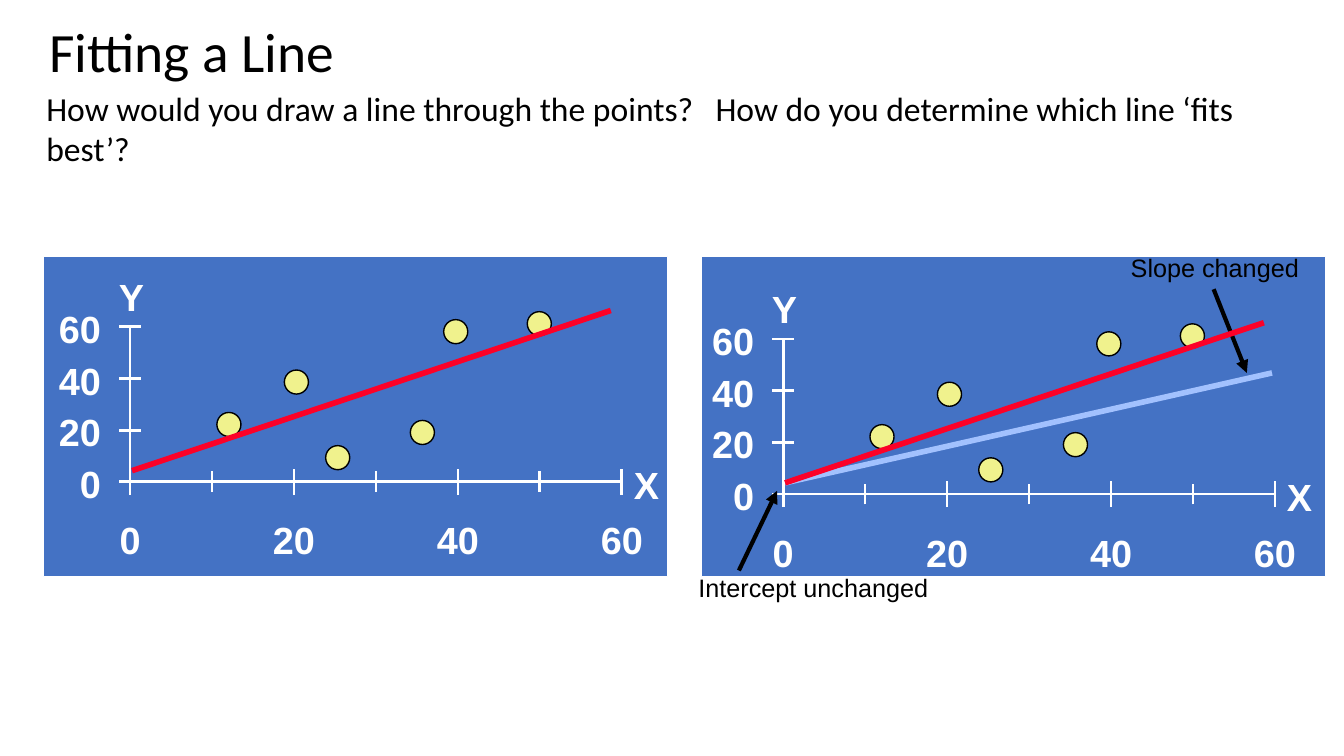
"""Build the slide on fitting a line through scattered points."""
from lxml import etree
from pptx import Presentation
from pptx.dml.color import RGBColor
from pptx.enum.shapes import MSO_CONNECTOR, MSO_SHAPE
from pptx.enum.text import MSO_ANCHOR, MSO_AUTO_SIZE, PP_ALIGN
from pptx.oxml.ns import qn
from pptx.util import Pt

STRAIGHT = MSO_CONNECTOR.STRAIGHT
RECT, OVAL = MSO_SHAPE.RECTANGLE, MSO_SHAPE.OVAL
LEFT, CENTER, RIGHT = PP_ALIGN.LEFT, PP_ALIGN.CENTER, PP_ALIGN.RIGHT
MIDDLE, TOP = MSO_ANCHOR.MIDDLE, MSO_ANCHOR.TOP
NO_FIT = MSO_AUTO_SIZE.NONE

COLORS = {
    "black": "000000",
    "white": "FFFFFF",
    "panel": "4472C4",
    "dot": "F0F28D",
    "red": "FC0128",
    "pale": "A2C1FE",
}
C = {name: RGBColor.from_string(value) for name, value in COLORS.items()}


def write(text, x, y, w, h, sp=None, size=27, font="Arial", color="white",
          bold=False, align=LEFT, anchor=TOP, spacing=None, tab=None):
    """Put text in a placeholder, or in a new text box, at a place in points."""
    if sp is None:
        sp = s.shapes.add_textbox(0, 0, 0, 0)
    sp.left, sp.top, sp.width, sp.height = Pt(x), Pt(y), Pt(w), Pt(h)
    tf = sp.text_frame
    tf.word_wrap = True
    tf.auto_size = NO_FIT
    tf.vertical_anchor = anchor
    p = tf.paragraphs[0]
    p.alignment = align
    p.line_spacing = spacing
    if tab:
        tabs = etree.SubElement(p._p.get_or_add_pPr(), qn("a:tabLst"))
        etree.SubElement(tabs, qn("a:tab"), pos=str(Pt(tab)), algn="l")
    r = p.add_run()
    r.text = text
    r.font.name, r.font.size, r.font.bold = font, Pt(size), bold
    r.font.color.rgb = C[color]


def line(x1, y1, x2, y2, color="white", width=2, arrow=False):
    """Draw a straight line, with an arrowhead at its end if asked."""
    cn = s.shapes.add_connector(STRAIGHT, Pt(x1), Pt(y1), Pt(x2), Pt(y2))
    cn.line.color.rgb = C[color]
    cn.line.width = Pt(width)
    if arrow:
        etree.SubElement(cn.line._get_or_add_ln(), qn("a:tailEnd"), type="triangle")
    etree.SubElement(cn._element.spPr, qn("a:effectLst"))


prs = Presentation()
prs.slide_width, prs.slide_height = Pt(960), Pt(540)
s = prs.slides.add_slide(prs.slide_layouts[5])

write("Fitting a Line", 28, 13, 558, 52.5, sp=s.shapes.title, size=39.6,
      font="Calibri", color="black", anchor=MIDDLE, spacing=0.9)
write("How would you draw a line through the points?\tHow do you determine "
      "which line ‘fits best’?", 26, 59, 921, 65.5, size=24, font="Calibri",
      color="black", tab=478)

X_STEP, Y_STEP = 58.55, 36.9
DOT = 17.2
POINTS = [(148.3, 17.3), (292.3, 113), (118.8, 71.3),
          (232.6, 107.3), (208.8, 35.3), (70.6, 41)]
PANELS = [(31.2, 92.9, 344.2), (501.2, 559.4, 352.9)]

for panel_x, x0, y0 in PANELS:
    sp = s.shapes.add_shape(RECT, Pt(panel_x), Pt(183), Pt(445.6), Pt(229))
    sp.shadow.inherit = False
    sp.fill.solid()
    sp.fill.fore_color.rgb = C["panel"]
    sp.line.color.rgb = C["white"]
    sp.line.width = Pt(1)

    line(x0, y0 - 3 * Y_STEP, x0, y0)
    line(x0, y0, x0 + 6 * X_STEP, y0)
    for i in range(4):
        y = y0 - i * Y_STEP
        line(x0 - 7.7, y, x0 + 7.7, y)
        write(str(20 * i), x0 - 61.7, y - 18.7, 48, 39.6, bold=True, align=RIGHT)
    for i in range(7):
        x = x0 + i * X_STEP
        reach = 7.4 if i % 2 else 9.4
        line(x, y0 + reach, x, y0 - reach)
        if i % 2 == 0:
            write(str(10 * i), x - 24, y0 + 21.6, 48, 39.6, bold=True, align=CENTER)
    write("X", x0 + 352.8, y0 - 18, 36, 39.6, bold=True)
    write("Y", x0 - 15.1, y0 - 152.6, 36, 39.6, bold=True)

    for dx, dy in POINTS:
        sp = s.shapes.add_shape(OVAL, Pt(x0 + dx - DOT / 2), Pt(y0 - dy - DOT / 2),
                                Pt(DOT), Pt(DOT))
        sp.shadow.inherit = False
        sp.fill.solid()
        sp.fill.fore_color.rgb = C["dot"]
        sp.line.color.rgb = C["black"]
        sp.line.width = Pt(1)

line(560.9, 344.9, 908.6, 266.4, color="pale", width=4)
line(866.9, 206.6, 890.6, 266.4, color="black", width=3, arrow=True)
write("Slope changed", 800.6, 176.4, 140, 29, size=18, color="black")
write("Intercept unchanged", 491.8, 405.4, 185, 29, size=18, color="black")
line(560.9, 344.9, 560.9, 344.9, color="black", width=1, arrow=True)
line(527.8, 407.5, 555.1, 350.6, color="black", width=3, arrow=True)

for _, x0, y0 in PANELS:
    line(x0 + 1.4, y0 - 8, x0 + 343.4, y0 - 122.4, color="red", width=4)

prs.save("out.pptx")
